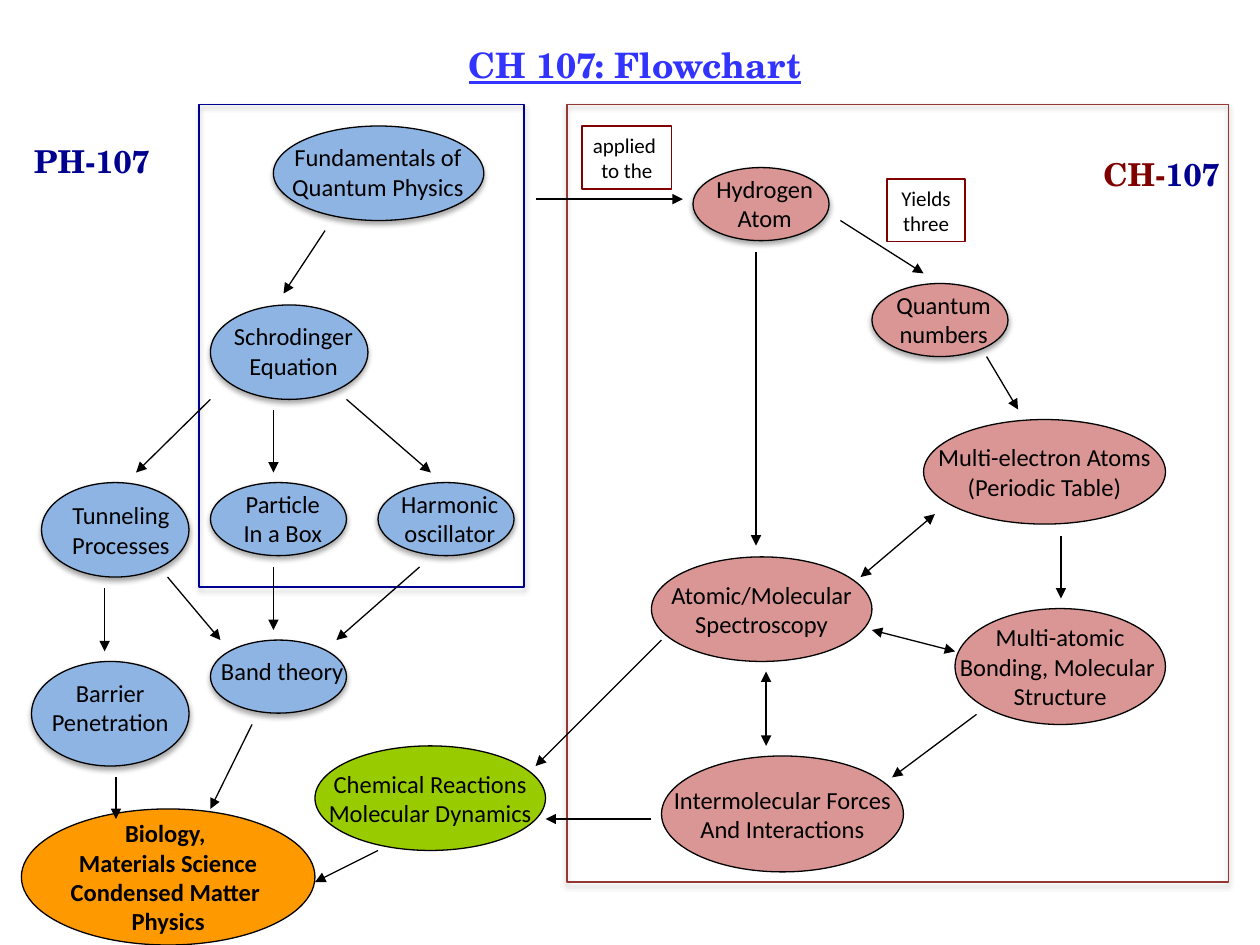
from lxml import etree
from pptx import Presentation
from pptx.dml.color import RGBColor
from pptx.enum.shapes import MSO_CONNECTOR, MSO_SHAPE
from pptx.enum.text import MSO_ANCHOR, PP_ALIGN
from pptx.oxml import parse_xml
from pptx.oxml.ns import nsdecls, qn
from pptx.util import Inches, Pt

BLACK = RGBColor(0x00, 0x00, 0x00)
BLUE = RGBColor(0x8E, 0xB4, 0xE3)
ROSE = RGBColor(0xD9, 0x96, 0x94)
GREEN = RGBColor(0x99, 0xCC, 0x00)
ORANGE = RGBColor(0xFF, 0x99, 0x00)
NAVY = RGBColor(0x00, 0x00, 0x90)
MAROON = RGBColor(0x80, 0x00, 0x00)
BRICK = RGBColor(0x95, 0x37, 0x35)
TITLE_BLUE = RGBColor(0x33, 0x33, 0xFF)
BODY_FONT = "Calibri"
HEADING_FONT = "TeX Gyre Schola"

SHADOW = (
    f'<a:effectLst {nsdecls("a")}>'
    '<a:outerShdw blurRad="39370" dist="23000" dir="5400000" rotWithShape="0">'
    '<a:srgbClr val="000000"><a:alpha val="35000"/></a:srgbClr>'
    '</a:outerShdw></a:effectLst>'
)

deck = Presentation()
deck.slide_width, deck.slide_height = Inches(10), Inches(7.5)
page = deck.slides.add_slide(deck.slide_layouts[6])


def add_outline(preset, place, line_color, fill=None, shadow=False):
    shape = page.shapes.add_shape(preset, *map(Inches, place))
    shape.shadow.inherit = False
    if shadow:
        properties = shape._element.spPr
        properties.replace(properties.find(qn("a:effectLst")), parse_xml(SHADOW))
    if fill is None:
        shape.fill.background()
    else:
        shape.fill.solid()
        shape.fill.fore_color.rgb = fill
    shape.line.color.rgb = line_color
    shape.line.width = Pt(0.75)
    return shape


def write(box, text, size=14, font=BODY_FONT, color=BLACK, bold=False,
          align=PP_ALIGN.CENTER, anchor=MSO_ANCHOR.TOP):
    frame = box.text_frame
    frame.text = text
    frame.word_wrap = False
    frame.vertical_anchor = anchor
    for para in frame.paragraphs:
        para.alignment = align
        for span in para.runs:
            span.font.size = Pt(size)
            span.font.name = font
            span.font.bold = bold
            span.font.color.rgb = color


# Course frames
add_outline(MSO_SHAPE.RECTANGLE, (1.58, 0.83, 2.58, 3.83), NAVY, shadow=True)
add_outline(MSO_SHAPE.RECTANGLE, (4.5, 0.83, 5.25, 6.17), BRICK, shadow=True)

# Topics with a shadow: ellipse, then its label in a separate box
shadowed_topics = [
    ("Schrodinger\nEquation", BLUE, (1.67, 2.42, 1.25, 0.75), (1.75, 2.5, 1.16, 0.57)),
    ("Fundamentals of\nQuantum Physics", BLUE, (2.17, 1, 1.67, 0.75), (2.21, 1.08, 1.58, 0.57)),
    ("Particle\nIn a Box", BLUE, (1.67, 3.83, 1.08, 0.58), (1.83, 3.83, 0.83, 0.57)),
    ("Tunneling\nProcesses", BLUE, (0.33, 3.83, 1.17, 0.75), (0.42, 3.92, 1.08, 0.58)),
    ("Harmonic\noscillator", BLUE, (3, 3.83, 1.08, 0.58), (3.08, 3.83, 0.98, 0.57)),
    ("Barrier\nPenetration", BLUE, (0.25, 5.25, 1.25, 0.83), (0.25, 5.33, 1.25, 0.57)),
    ("Band theory", BLUE, (1.67, 5.08, 1.08, 0.58), (1.65, 5.16, 1.18, 0.34)),
    ("Quantum\nnumbers", ROSE, (6.92, 2.25, 1.08, 0.58), (7.01, 2.25, 0.96, 0.57)),
    ("Hydrogen\nAtom", ROSE, (5.5, 1.33, 1.08, 0.58), (5.58, 1.33, 0.98, 0.57)),
]
for text, fill, place, label_place in shadowed_topics:
    add_outline(MSO_SHAPE.OVAL, place, BLACK, fill, shadow=True)
    write(page.shapes.add_textbox(*map(Inches, label_place)), text)

# Flat topics: the text sits in the ellipse
flat_topics = [
    ("Multi-electron Atoms\n(Periodic Table)", ROSE, (7.33, 3.33, 1.92, 0.83)),
    ("Multi-atomic\nBonding, Molecular \nStructure", ROSE, (7.58, 4.83, 1.67, 0.92)),
    ("Atomic/Molecular\nSpectroscopy", ROSE, (5.17, 4.42, 1.75, 0.83)),
    ("Intermolecular Forces\nAnd Interactions", ROSE, (5.25, 6, 1.92, 0.92)),
    ("Chemical Reactions\nMolecular Dynamics", GREEN, (2.5, 5.92, 1.83, 0.83)),
    ("Biology, \nMaterials Science\nCondensed Matter \nPhysics", ORANGE, (0.17, 6.42, 2.33, 1.08)),
]
for text, fill, place in flat_topics:
    topic = add_outline(MSO_SHAPE.OVAL, place, BLACK, fill)
    write(topic, text, bold=fill == ORANGE, anchor=MSO_ANCHOR.MIDDLE)

# Notes beside the arrows
for text, place in [("applied \nto the", (4.62, 1, 0.71, 0.5)),
                    ("Yields\nthree", (7.04, 1.42, 0.62, 0.5))]:
    write(add_outline(MSO_SHAPE.RECTANGLE, place, MAROON), text, size=12)

# Arrows: start x, start y, end x, end y
one_way = [
    (2.58, 1.83, 2.25, 2.33), (2.17, 3.25, 2.17, 3.75),
    (1.67, 3.17, 1.08, 3.75), (2.75, 3.17, 3.42, 3.75),
    (0.83, 4.67, 0.83, 5.17), (1.33, 4.58, 1.75, 5.08),
    (2.17, 4.5, 2.17, 5), (3.33, 4.5, 2.67, 5.08),
    (0.92, 6.17, 0.92, 6.5), (2, 5.75, 1.67, 6.42),
    (3, 6.75, 2.5, 7), (5.25, 5.08, 4.25, 6.08),
    (5.17, 6.5, 4.33, 6.5), (4.25, 1.58, 5.42, 1.58),
    (6.67, 1.75, 7.33, 2.17), (7.83, 2.83, 8.08, 3.25),
    (8.42, 4.25, 8.42, 4.75), (7.75, 5.67, 7.08, 6.17),
    (6, 2, 6, 4.33),
]
two_way = [
    (7.42, 4.08, 6.83, 4.58), (7.58, 5.17, 6.92, 5), (6.08, 5.92, 6.08, 5.33),
]
for ends, arrows in [(["a:tailEnd"], one_way), (["a:headEnd", "a:tailEnd"], two_way)]:
    for points in arrows:
        arrow = page.shapes.add_connector(MSO_CONNECTOR.STRAIGHT, *map(Inches, points))
        arrow.line.color.rgb = BLACK
        arrow.line.width = Pt(0.75)
        for end in ends:
            etree.SubElement(arrow.line._get_or_add_ln(), qn(end), type="triangle")
        etree.SubElement(arrow._element.spPr, qn("a:effectLst"))

# Course names
for text, place in [("PH-107", (0.17, 1.08, 1.15, 0.4)),
                    ("CH-", (8.66, 1.18, 1.17, 0.4))]:
    course = page.shapes.add_textbox(*map(Inches, place))
    write(course, text, 18, HEADING_FONT, NAVY, True, PP_ALIGN.LEFT)
para = course.text_frame.paragraphs[0]
para.runs[0].font.color.rgb = MAROON
span = para.add_run()
span.text = "107"
span.font.size = Pt(18)
span.font.name = HEADING_FONT
span.font.bold = True
span.font.color.rgb = NAVY

# Title
title = page.shapes.add_textbox(Inches(1.16), Inches(0.3), Inches(7.76), Inches(0.44))
write(title, "CH 107: Flowchart", 20, HEADING_FONT, TITLE_BLUE, True)
title.text_frame.word_wrap = True
title.text_frame.paragraphs[0].runs[0].font.underline = True

deck.save("out.pptx")
